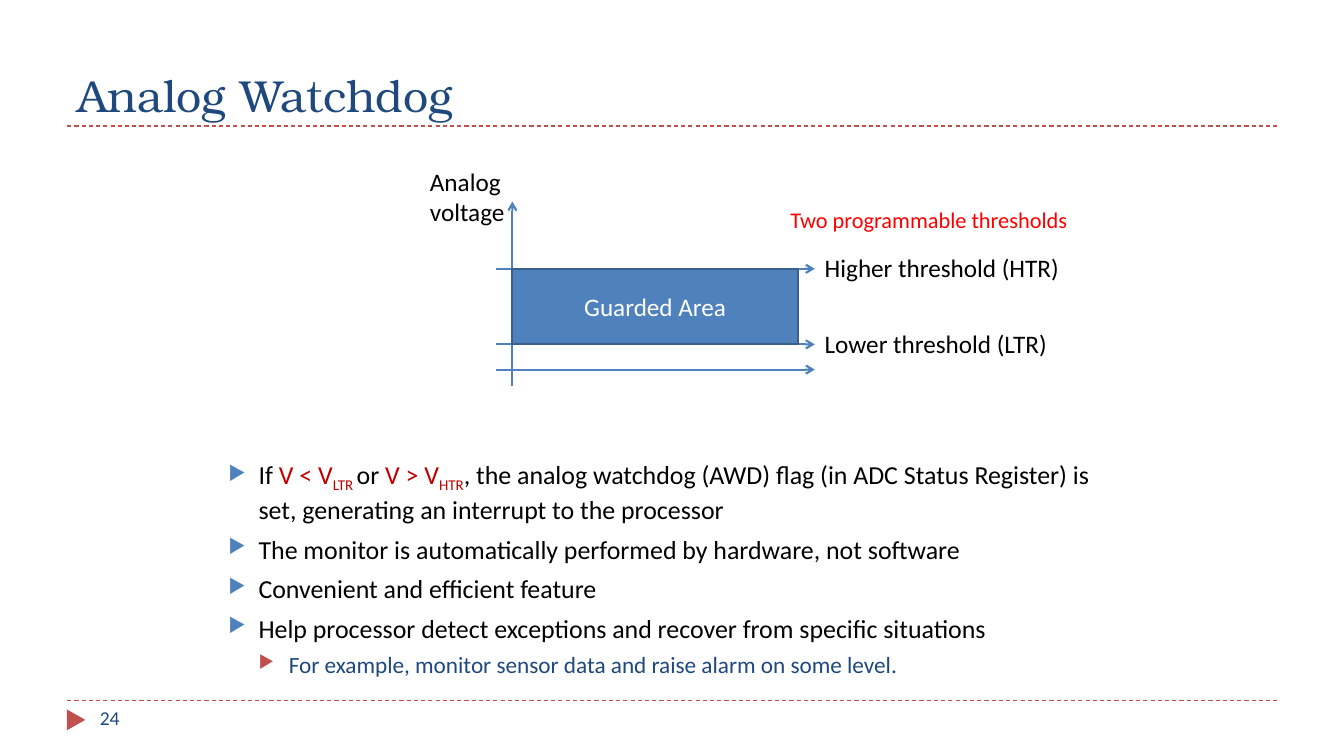
from dataclasses import dataclass

from lxml import etree
from pptx import Presentation
from pptx import util as u
from pptx.dml import color
from pptx.enum import dml, shapes, text
from pptx.oxml import ns

# Grid: 160 columns by 90 rows over a 16:9 slide
WIDTH, HEIGHT = u.Inches(13.333), u.Inches(7.5)
COLUMNS, ROWS = 160, 90
BODY_FONT, TITLE_FONT = "Calibri", "TeX Gyre Bonum"
COLORS = {
    "navy": "1F497D", "blue": "4F81BD", "blue edge": "3A5F8C",
    "brick": "C0504D", "dark red": "C00000", "red": "FF0000",
    "black": "000000", "white": "FFFFFF",
}


@dataclass
class Box:
    column: float
    row: float
    columns: float
    rows: float

    def lengths(self) -> tuple[int, int, int, int]:
        return (*point(self.column, self.row), *point(self.columns, self.rows))


@dataclass
class Label:
    text: str
    box: Box
    size: float = 18
    color: str = "black"
    font: str = BODY_FONT
    anchor: text.MSO_ANCHOR = text.MSO_ANCHOR.TOP


@dataclass
class Line:
    start: tuple[float, float]
    end: tuple[float, float]
    color: str = "blue"
    width: float = 1.5
    arrow: bool = True


@dataclass
class Piece:
    text: str
    color: str = "black"
    subscript: bool = False


@dataclass
class Bullet:
    pieces: list[Piece]
    level: int = 0
    size: float = 18.5
    space: float = 6
    marker: str = "blue"


LEFT, RIGHT = 8, 152                      # slide margins
AXIS_LEFT, AXIS_RIGHT, AXIS = 59, 97, 61  # diagram columns
HIGH, LOW, BASE = 32, 41, 44              # diagram rows
FOOTER = 83.4

DIVIDERS = [Line((LEFT, row), (RIGHT, row), "brick", 0.75, False) for row in (15, FOOTER)]
ARROWS = [Line((AXIS_LEFT, row), (AXIS_RIGHT, row)) for row in (HIGH, LOW, BASE)]
ARROWS.append(Line((AXIS, 46), (AXIS, 24)))

LABELS = [
    Label("Analog Watchdog", Box(LEFT, 2, 144, 13), 32, "navy", TITLE_FONT,
          text.MSO_ANCHOR.BOTTOM),
    Label("24", Box(10.7, FOOTER, 34.7, 4.8), 14, "navy"),
    Label("Analog\vvoltage", Box(50, 19.2, 20.3, 7.8)),
    Label("Higher threshold (HTR)", Box(AXIS_RIGHT, HIGH - 2.5, 32, 4.8)),
    Label("Lower threshold (LTR)", Box(AXIS_RIGHT, LOW - 2.5, 30.5, 4.8)),
    Label("Two programmable thresholds", Box(92.9, 24, 35.8, 4.4), 16, "red"),
]

BULLETS = [
    Bullet([
        Piece("If "),
        Piece("V < V", "dark red"), Piece("LTR ", "dark red", True),
        Piece("or "),
        Piece("V > V", "dark red"), Piece("HTR", "dark red", True),
        Piece(", the analog watchdog (AWD) flag (in ADC Status Register) is set, "
              "generating an interrupt to the processor"),
    ]),
    Bullet([Piece("The monitor is automatically performed by hardware, not software")]),
    Bullet([Piece("Convenient and efficient feature")]),
    Bullet([Piece("Help processor detect exceptions and recover from specific situations")]),
    Bullet([Piece("For example, monitor sensor data and raise alarm on some level.", "navy")],
           1, 16.6, 5, "brick"),
]


def point(column: float, row: float) -> tuple[int, int]:
    return round(WIDTH * column / COLUMNS), round(HEIGHT * row / ROWS)


def rgb(name: str) -> color.RGBColor:
    return color.RGBColor.from_string(COLORS[name])


def style(font, size: float, color_name: str, name: str = BODY_FONT) -> None:
    font.size = u.Pt(size)
    font.name = name
    font.color.rgb = rgb(color_name)


def add_label(slide, label: Label) -> None:
    frame = slide.shapes.add_textbox(*label.box.lengths()).text_frame
    frame.word_wrap = True
    frame.vertical_anchor = label.anchor
    frame.text = label.text
    for run in frame.paragraphs[0].runs:
        style(run.font, label.size, label.color, label.font)


def add_line(slide, line: Line) -> None:
    connector = slide.shapes.add_connector(
        shapes.MSO_CONNECTOR.STRAIGHT, *point(*line.start), *point(*line.end))
    connector.line.color.rgb = rgb(line.color)
    connector.line.width = u.Pt(line.width)
    if line.arrow:
        etree.SubElement(connector.line._get_or_add_ln(), ns.qn("a:tailEnd"), type="arrow")
    else:
        connector.line.dash_style = dml.MSO_LINE.DASH
    etree.SubElement(connector._element.spPr, ns.qn("a:effectLst"))


def add_filled(slide, kind: shapes.MSO_SHAPE, box: Box, fill: str):
    shape = slide.shapes.add_shape(kind, *box.lengths())
    shape.shadow.inherit = False
    shape.fill.solid()
    shape.fill.fore_color.rgb = rgb(fill)
    shape.line.fill.background()
    return shape


def add_marker(paragraph, bullet: Bullet) -> None:
    indent = u.Inches(0.3)
    properties = paragraph._p.get_or_add_pPr()
    properties.set("marL", str(indent * (bullet.level + 1)))
    properties.set("indent", str(-indent))
    marker_color = etree.SubElement(properties, ns.qn("a:buClr"))
    etree.SubElement(marker_color, ns.qn("a:srgbClr"), val=COLORS[bullet.marker])
    etree.SubElement(properties, ns.qn("a:buSzPct"), val="76000")
    etree.SubElement(properties, ns.qn("a:buChar"), char="▶")


def add_bullets(slide, box: Box, bullets: list[Bullet]) -> None:
    frame = slide.shapes.add_textbox(*box.lengths()).text_frame
    frame.word_wrap = True
    for index, bullet in enumerate(bullets):
        paragraph = frame.add_paragraph() if index else frame.paragraphs[0]
        paragraph.level = bullet.level
        add_marker(paragraph, bullet)
        if index:
            paragraph.space_before = u.Pt(bullet.space)
        for piece in bullet.pieces:
            run = paragraph.add_run()
            run.text = piece.text
            style(run.font, bullet.size, piece.color)
            if piece.subscript:
                run._r.get_or_add_rPr().set("baseline", "-25000")


def main() -> None:
    presentation = Presentation()
    presentation.slide_width, presentation.slide_height = WIDTH, HEIGHT
    slide = presentation.slides.add_slide(presentation.slide_layouts[6])

    # Dividers and footer marker
    for divider in DIVIDERS:
        add_line(slide, divider)
    triangle = add_filled(slide, shapes.MSO_SHAPE.ISOSCELES_TRIANGLE,
                          Box(7.8, 84.6, 2.5, 2.2), "brick")
    triangle.rotation = 90

    # Threshold diagram
    for arrow in ARROWS:
        add_line(slide, arrow)
    guarded = add_filled(slide, shapes.MSO_SHAPE.RECTANGLE,
                         Box(AXIS, HIGH, 34, LOW - HIGH), "blue")
    guarded.line.color.rgb = rgb("blue edge")
    guarded.line.width = u.Pt(1.5)
    guarded.text_frame.text = "Guarded Area"
    guarded.text_frame.vertical_anchor = text.MSO_ANCHOR.MIDDLE
    paragraph = guarded.text_frame.paragraphs[0]
    paragraph.alignment = text.PP_ALIGN.CENTER
    style(paragraph.runs[0].font, 18, "white")

    # Text
    for label in LABELS:
        add_label(slide, label)
    add_bullets(slide, Box(26, 54, 108, 23.8), BULLETS)

    presentation.save("out.pptx")


if __name__ == "__main__":
    main()
